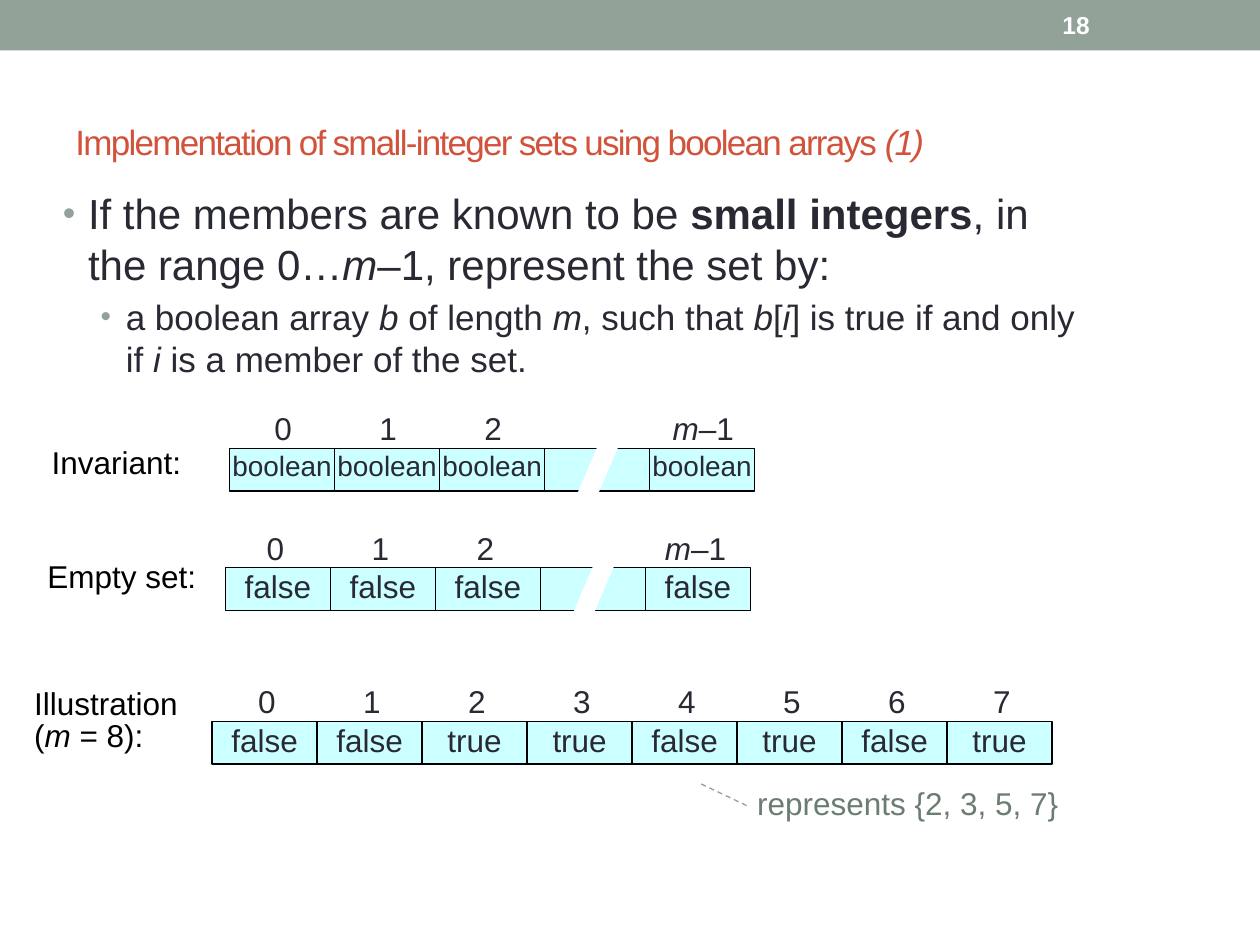
from dataclasses import dataclass

from lxml.etree import SubElement
from pptx import Presentation
from pptx.dml.color import RGBColor
from pptx.enum.dml import MSO_LINE
from pptx.enum.shapes import MSO_SHAPE as Preset
from pptx.enum.text import MSO_ANCHOR as Anchor, PP_ALIGN as Align
from pptx.oxml.ns import qn
from pptx.util import Pt


@dataclass(frozen=True)
class Theme:
    """Colours, font and type sizes of the deck."""
    font: str = "Arial"
    sage: str = "93A299"
    dark_sage: str = "6B7D72"
    brick: str = "D2533C"
    ink: str = "292934"
    black: str = "000000"
    white: str = "FFFFFF"
    aqua: str = "CCFFFF"
    point: int = 24
    heading: int = 20
    diagram: int = 18
    small: int = 16
    number: int = 14


THEME = Theme()
CELL_W, CELL_H = 60, 24.5
LABEL_RISE = 18.7


def write(paragraph, text, size=THEME.diagram, color=THEME.ink, bold=False,
          align=None, leading=None, tracking=None):
    """Write text into a paragraph; *...* is bold, _..._ is italic."""
    paragraph.alignment = align
    if leading:
        paragraph.line_spacing = Pt(leading)
    for line_no, line in enumerate(text.split("\n")):
        if line_no:
            paragraph.add_line_break()
        for strong, part in enumerate(line.split("*")):
            for slanted, words in enumerate(part.split("_")):
                if not words:
                    continue
                run = paragraph.add_run()
                run.text = words
                run.font.name = THEME.font
                run.font.size = Pt(size)
                run.font.bold = bold or strong % 2 == 1
                run.font.italic = slanted % 2 == 1
                run.font.color.rgb = RGBColor.from_string(color)
                if tracking:
                    run.font._element.set("spc", str(tracking * 100))


def set_frame(shape, anchor=Anchor.TOP, inset=True):
    """Wrap the text of a shape, anchor it and return its frame."""
    frame = shape.text_frame
    frame.word_wrap = True
    frame.vertical_anchor = anchor
    if not inset:
        frame.margin_left = frame.margin_right = Pt(0)
        frame.margin_top = frame.margin_bottom = Pt(0)
    return frame


def add_text(shapes, box, text, anchor=Anchor.TOP, inset=True, **style):
    """Add a text box of one paragraph."""
    frame = set_frame(shapes.add_textbox(*map(Pt, box)), anchor, inset)
    write(frame.paragraphs[0], text, **style)


def paint(shape, fill=None, line=None):
    """Set fill and outline, and drop the shadow."""
    shape.shadow.inherit = False
    if fill:
        shape.fill.solid()
        shape.fill.fore_color.rgb = RGBColor.from_string(fill)
    else:
        shape.fill.background()
    if line:
        shape.line.color.rgb = RGBColor.from_string(line)
        shape.line.width = Pt(0.75)
    else:
        shape.line.fill.background()
    return shape


def set_bullet(paragraph, indent, hang=14.4):
    """Give a paragraph a round sage bullet with a hanging indent."""
    props = paragraph._p.get_or_add_pPr()
    props.set("marL", str(Pt(indent)))
    props.set("indent", str(-Pt(hang)))
    tint = SubElement(props, qn("a:buClr"))
    SubElement(tint, qn("a:srgbClr"), val=THEME.sage)
    SubElement(props, qn("a:buSzPct"), val="85000")
    SubElement(props, qn("a:buFont"), typeface=THEME.font)
    SubElement(props, qn("a:buChar"), char="•")


def add_header(shapes, left, top, width, height, number):
    """Draw the band across the top with the slide number."""
    band = shapes.add_shape(Preset.RECTANGLE, *map(Pt, (left, top, width, height)))
    paint(band, THEME.sage)
    add_text(shapes, (left + 600, top + 1.4, 84, 26), number, Anchor.MIDDLE,
             size=THEME.number, color=THEME.white, bold=True)


def add_points(shapes, box, points):
    """Write the bulleted points, each given as (level, text)."""
    frame = set_frame(shapes.add_textbox(*map(Pt, box)))
    for order, (level, text) in enumerate(points):
        paragraph = frame.add_paragraph() if order else frame.paragraphs[0]
        size = (THEME.point, THEME.heading)[level]
        paragraph.level = level
        set_bullet(paragraph, (14.4, 36)[level])
        paragraph.space_before = Pt(size * 0.2)
        write(paragraph, text, size=size)


def add_break(shapes, left, top):
    """Cut a slanted white gap through the elided cell."""
    outline = shapes.build_freeform(Pt(left + 18), Pt(top))
    corners = [(0, 42), (12, 42), (30, 0)]
    outline.add_line_segments([(Pt(left + x), Pt(top + y)) for x, y in corners])
    paint(outline.convert_to_shape(), THEME.white)


def add_array(slide, left, top, caption, cells, caption_drop=0, label_shift=0,
              label_w=61.2, size=THEME.diagram):
    """Draw a captioned array of (index, value) cells; None elides a cell."""
    shapes = slide.shapes.add_group_shape().shapes
    add_text(shapes, (left - 101.7, top + caption_drop, 105, 18), caption,
             inset=False, color=THEME.black, leading=18)
    for order, cell in enumerate(cells):
        x = left + order * CELL_W
        box = paint(shapes.add_shape(Preset.RECTANGLE, Pt(x), Pt(top),
                                     Pt(CELL_W), Pt(CELL_H)),
                    THEME.aqua, THEME.black)
        if cell is None:
            add_break(shapes, x + 16.5, top - 11)
            continue
        index, value = cell
        frame = set_frame(box, inset=False)
        write(frame.paragraphs[0], value, size=size, align=Align.CENTER)
        add_text(shapes, (x + label_shift, top - LABEL_RISE, label_w, 17.5), index,
                 inset=False, align=Align.CENTER, leading=18)
    return shapes


def add_callout(shapes, box, text):
    """Add a note with a dashed leader towards the array."""
    note = paint(shapes.add_shape(Preset.LINE_CALLOUT_1_NO_BORDER, *map(Pt, box)),
                 line=THEME.sage)
    note.line.dash_style = MSO_LINE.DASH
    for order, value in enumerate((0.416, -0.034, -0.168, -0.184)):
        note.adjustments[order] = value
    frame = set_frame(note, inset=False)
    write(frame.paragraphs[0], text, color=THEME.dark_sage, align=Align.LEFT,
          leading=18)


def elided(value):
    """Return the cells of an array of m equal values."""
    return [("0", value), ("1", value), ("2", value), None, ("_m_–1", value)]


def build():
    """Build the slide and save it."""
    deck = Presentation()
    deck.slide_width, deck.slide_height = Pt(720), Pt(540)
    slide = deck.slides.add_slide(deck.slide_layouts[6])
    add_header(slide.shapes, 0, 0, 720, 28.8, "18")
    add_text(slide.shapes, (36, 42, 648, 78),
             "Implementation of small-integer sets using boolean arrays _(1)_",
             Anchor.MIDDLE, size=THEME.heading, color=THEME.brick, tracking=-1)
    add_points(slide.shapes, (28.8, 103.7, 600, 378), [
        (0, "If the members are known to be *small integers*, in the range "
            "0…_m_–1, represent the set by:"),
        (1, "a boolean array _b_ of length _m_, such that _b_[_i_] is true "
            "if and only if _i_ is a member of the set."),
    ])
    add_array(slide, 131.2, 256.2, "Invariant:", elided("boolean"),
              caption_drop=0.8, size=THEME.small)
    add_array(slide, 128.8, 324.3, "Empty set:", elided("false"),
              caption_drop=-2.3, label_shift=-2)
    members = {2, 3, 5, 7}
    flags = [(str(i), "true" if i in members else "false") for i in range(8)]
    illustration = add_array(slide, 121.2, 412.2, "Illustration\n(_m_ = 8):", flags,
                             caption_drop=-17.6, label_w=62.6)
    add_callout(illustration, (432.7, 451.4, 177, 21.6), "represents {2, 3, 5, 7}")
    deck.save("out.pptx")


build()
